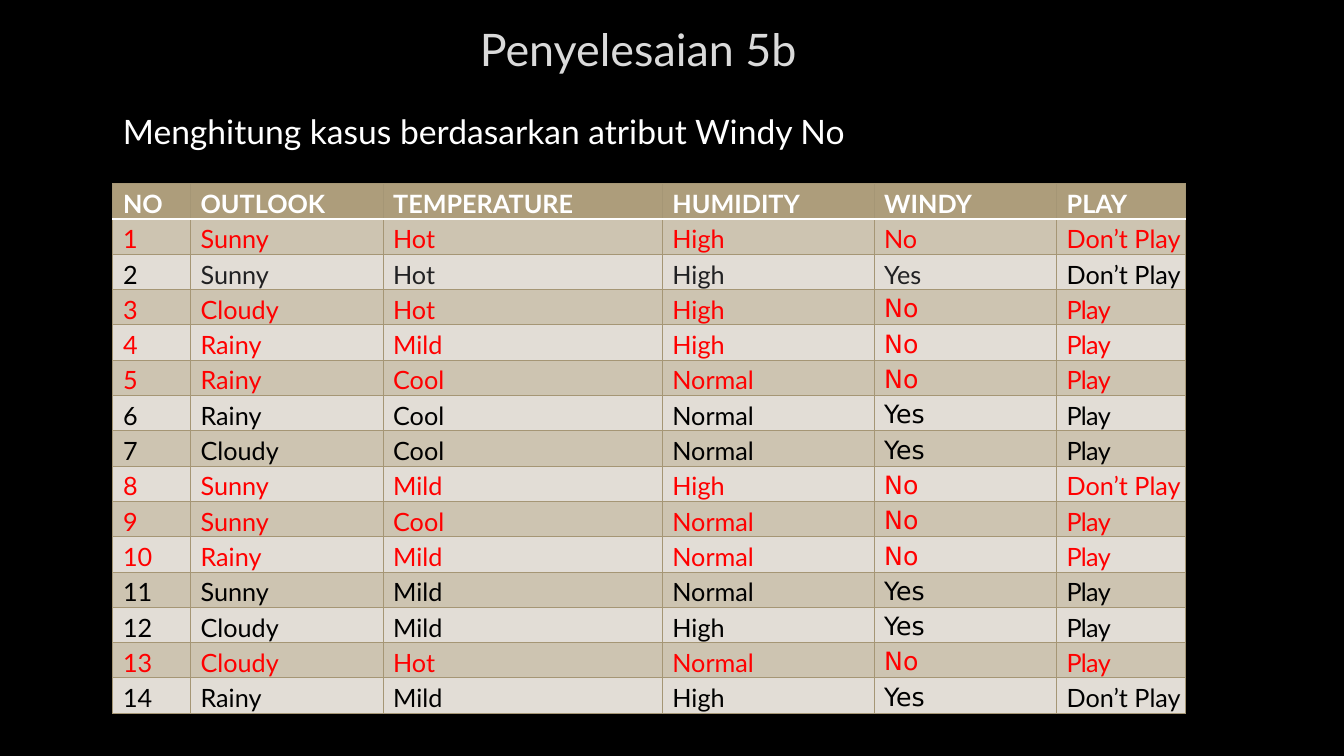
import pptx
import pptx.util
import pptx.dml.color
import pptx.enum.text
import pptx.oxml.ns
import lxml.etree

TITLE = "Penyelesaian 5b"
SUBTITLE = "Menghitung kasus berdasarkan atribut Windy No"
HEADERS = ("NO", "OUTLOOK", "TEMPERATURE", "HUMIDITY", "WINDY", "PLAY")
CASES = [
    ("Sunny", "Hot", "High", "No", "Don’t Play"),
    ("Sunny", "Hot", "High", "Yes", "Don’t Play"),
    ("Cloudy", "Hot", "High", "No", "Play"),
    ("Rainy", "Mild", "High", "No", "Play"),
    ("Rainy", "Cool", "Normal", "No", "Play"),
    ("Rainy", "Cool", "Normal", "Yes", "Play"),
    ("Cloudy", "Cool", "Normal", "Yes", "Play"),
    ("Sunny", "Mild", "High", "No", "Don’t Play"),
    ("Sunny", "Cool", "Normal", "No", "Play"),
    ("Rainy", "Mild", "Normal", "No", "Play"),
    ("Sunny", "Mild", "Normal", "Yes", "Play"),
    ("Cloudy", "Mild", "High", "Yes", "Play"),
    ("Cloudy", "Hot", "Normal", "No", "Play"),
    ("Rainy", "Mild", "High", "Yes", "Don’t Play"),
]
COLUMNS = (0.77, 1.91, 2.77, 2.1, 1.81, 1.28)
LEFT, TABLE_TOP, TABLE_HEIGHT = 1.12, 1.82, 5.24
WINDY, PLAY = HEADERS.index("WINDY"), HEADERS.index("PLAY")
HEADER_FILL, ODD_FILL, EVEN_FILL = "AD9D7B", "CDC4B1", "E2DDD6"
GRID, WHITE, RED, BLACK, DARK = "A59675", "FFFFFF", "FF0000", "000000", "212123"

inch = pptx.util.Inches


def rgb(color):
    return pptx.dml.color.RGBColor.from_string(color)


def add_run(p, text, size, color, font="Lato", bold=False):
    r = p.add_run()
    r.text = text
    r.font.size = pptx.util.Pt(size)
    r.font.name = font
    r.font.bold = bold
    r.font.color.rgb = rgb(color)
    return r


def add_border(cell, side, color, points):
    tag = pptx.oxml.ns.qn
    ln = lxml.etree.SubElement(cell._tc.get_or_add_tcPr(), tag("a:ln" + side),
                               w=str(pptx.util.Pt(points)))
    fill = lxml.etree.SubElement(ln, tag("a:solidFill"))
    lxml.etree.SubElement(fill, tag("a:srgbClr"), val=color)


def text_color(row, col, values):
    if row == 0:
        return WHITE
    if values[WINDY] == "No":
        return RED
    return DARK if row == 2 and 0 < col < PLAY else BLACK


def fill_cell(cell, row, col, values):
    for side in "LRTB":
        rule = (side == "B" and row == 0) or (side == "T" and row == 1)
        add_border(cell, side, *((WHITE, 1.25) if rule else (GRID, 0.75)))
    cell.fill.solid()
    cell.fill.fore_color.rgb = rgb(
        HEADER_FILL if row == 0 else ODD_FILL if row % 2 else EVEN_FILL)
    cell.margin_left, cell.margin_top = inch(0.1), inch(0.05)
    cell.margin_right = cell.margin_bottom = 0
    font = "DejaVu Sans" if col == WINDY and row > 2 else "Lato"
    r = add_run(cell.text_frame.paragraphs[0], values[col], 18,
                text_color(row, col, values), font, row == 0)
    if values[col] == "Play":
        r._r.get_or_add_rPr().set("spc", "-50")


def main():
    prs = pptx.Presentation()
    prs.slide_width, prs.slide_height = inch(13.33), inch(7.5)
    s = prs.slides.add_slide(prs.slide_layouts[5])
    s.background.fill.solid()
    s.background.fill.fore_color.rgb = rgb(BLACK)

    title = s.shapes.title
    title.left, title.top, title.width, title.height = map(inch, (LEFT, 0.2, 10.42, 0.56))
    tf = title.text_frame
    tf.margin_top = tf.margin_bottom = 0
    tf.vertical_anchor = pptx.enum.text.MSO_ANCHOR.MIDDLE
    tf.paragraphs[0].alignment = pptx.enum.text.PP_ALIGN.CENTER
    add_run(tf.paragraphs[0], TITLE, 32, "DADADA")

    rows = [HEADERS] + [(str(n), *case) for n, case in enumerate(CASES, 1)]
    table = s.shapes.add_table(len(rows), len(COLUMNS), inch(LEFT), inch(TABLE_TOP),
                               inch(sum(COLUMNS)), inch(TABLE_HEIGHT)).table
    table.horz_banding = False
    for column, width in zip(table.columns, COLUMNS):
        column.width = inch(width)
    for i, values in enumerate(rows):
        table.rows[i].height = inch(TABLE_HEIGHT / len(rows))
        for j in range(len(COLUMNS)):
            fill_cell(table.cell(i, j), i, j, values)

    sp = s.shapes.add_textbox(inch(LEFT), inch(1.05), inch(11.03), inch(0.5))
    sp.text_frame.word_wrap = True
    add_run(sp.text_frame.paragraphs[0], SUBTITLE, 24, WHITE)

    prs.save("out.pptx")


if __name__ == "__main__":
    main()
